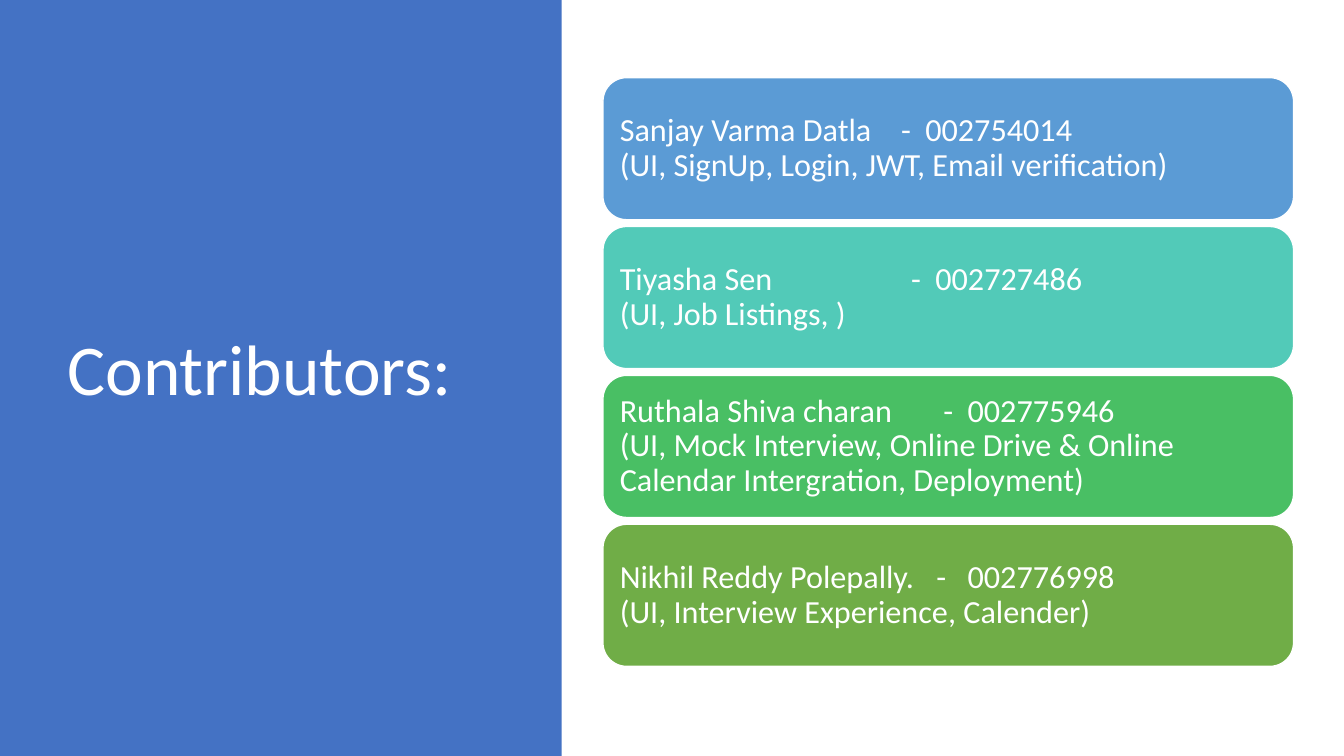
import pptx
import pptx.dml.color
import pptx.enum.shapes
import pptx.enum.text
import pptx.oxml.ns
import pptx.util
from lxml import etree

WIDTH, HEIGHT = 13.33, 7.5
PANEL_WIDTH = 5.57
CARD_LEFT, CARD_TOP = 5.98, 0.77
CARD_WIDTH, CARD_HEIGHT = 6.85, 1.41
CARD_PITCH = 1.477
WHITE = "FFFFFF"

# name, number, tasks, fill, tab stops of the dash and the number in inches
CONTRIBUTORS = [
    ("Sanjay Varma Datla", "002754014",
     "(UI, SignUp, Login, JWT, Email verification)", "5B9BD5", (2.79, 3.03)),
    ("Tiyasha Sen", "002727486",
     "(UI, Job Listings, )", "52CAB8", (2.89, 3.13)),
    ("Ruthala Shiva charan", "002775946",
     "(UI, Mock Interview, Online Drive & Online Calendar\u00a0Intergration, Deployment)".replace("\u00a0", " "),
     "49BF64", (3.21, 3.45)),
    ("Nikhil Reddy Polepally.", "002776998",
     "(UI, Interview Experience, Calender)", "70AD47", (3.14, 3.45)),
]


def color(value):
    return pptx.dml.color.RGBColor.from_string(value)


def inches(*lengths):
    return [pptx.util.Inches(length) for length in lengths]


def add_block(slide, kind, box, fill):
    shape = slide.shapes.add_shape(kind, *inches(*box))
    shape.shadow.inherit = False
    shape.fill.solid()
    shape.fill.fore_color.rgb = color(fill)
    shape.line.fill.background()
    return shape


def add_tab_stops(paragraph, stops):
    qn = pptx.oxml.ns.qn
    properties = paragraph._p.get_or_add_pPr()
    tab_list = etree.SubElement(properties, qn("a:tabLst"))
    for stop in stops:
        etree.SubElement(tab_list, qn("a:tab"),
                         pos=str(pptx.util.Inches(stop)), algn="l")


def write(shape, text, size, stops=()):
    """Put one left-aligned, vertically centred white paragraph in a shape."""
    frame = shape.text_frame
    frame.word_wrap = True
    frame.vertical_anchor = pptx.enum.text.MSO_ANCHOR.MIDDLE
    paragraph = frame.paragraphs[0]
    paragraph.text = text
    if stops:
        add_tab_stops(paragraph, stops)
    paragraph.alignment = pptx.enum.text.PP_ALIGN.LEFT
    paragraph.line_spacing = 0.9
    paragraph.font.name = "Calibri"
    paragraph.font.size = pptx.util.Pt(size)
    paragraph.font.color.rgb = color(WHITE)


def add_card(slide, row, contributor):
    name, number, tasks, fill, stops = contributor
    box = (CARD_LEFT, CARD_TOP + row * CARD_PITCH, CARD_WIDTH, CARD_HEIGHT)
    card = add_block(slide, pptx.enum.shapes.MSO_SHAPE.ROUNDED_RECTANGLE, box, fill)
    card.line.color.rgb = color(WHITE)
    card.line.width = pptx.util.Pt(1)
    frame = card.text_frame
    frame.margin_left = frame.margin_right = pptx.util.Inches(0.1)
    frame.margin_top = frame.margin_bottom = pptx.util.Inches(0.1)
    write(card, f"{name}\t-\t{number}\v{tasks}", 23, stops)


def main():
    presentation = pptx.Presentation()
    presentation.slide_width, presentation.slide_height = inches(WIDTH, HEIGHT)
    slide = presentation.slides.add_slide(presentation.slide_layouts[6])
    add_block(slide, pptx.enum.shapes.MSO_SHAPE.RECTANGLE,
              (0, 0, PANEL_WIDTH, HEIGHT), "4472C4")
    title = slide.shapes.add_textbox(*inches(0.57, 0.68, 4.16, 6.02))
    write(title, "Contributors:", 51)
    for row, contributor in enumerate(CONTRIBUTORS):
        add_card(slide, row, contributor)
    presentation.save("out.pptx")


if __name__ == "__main__":
    main()
